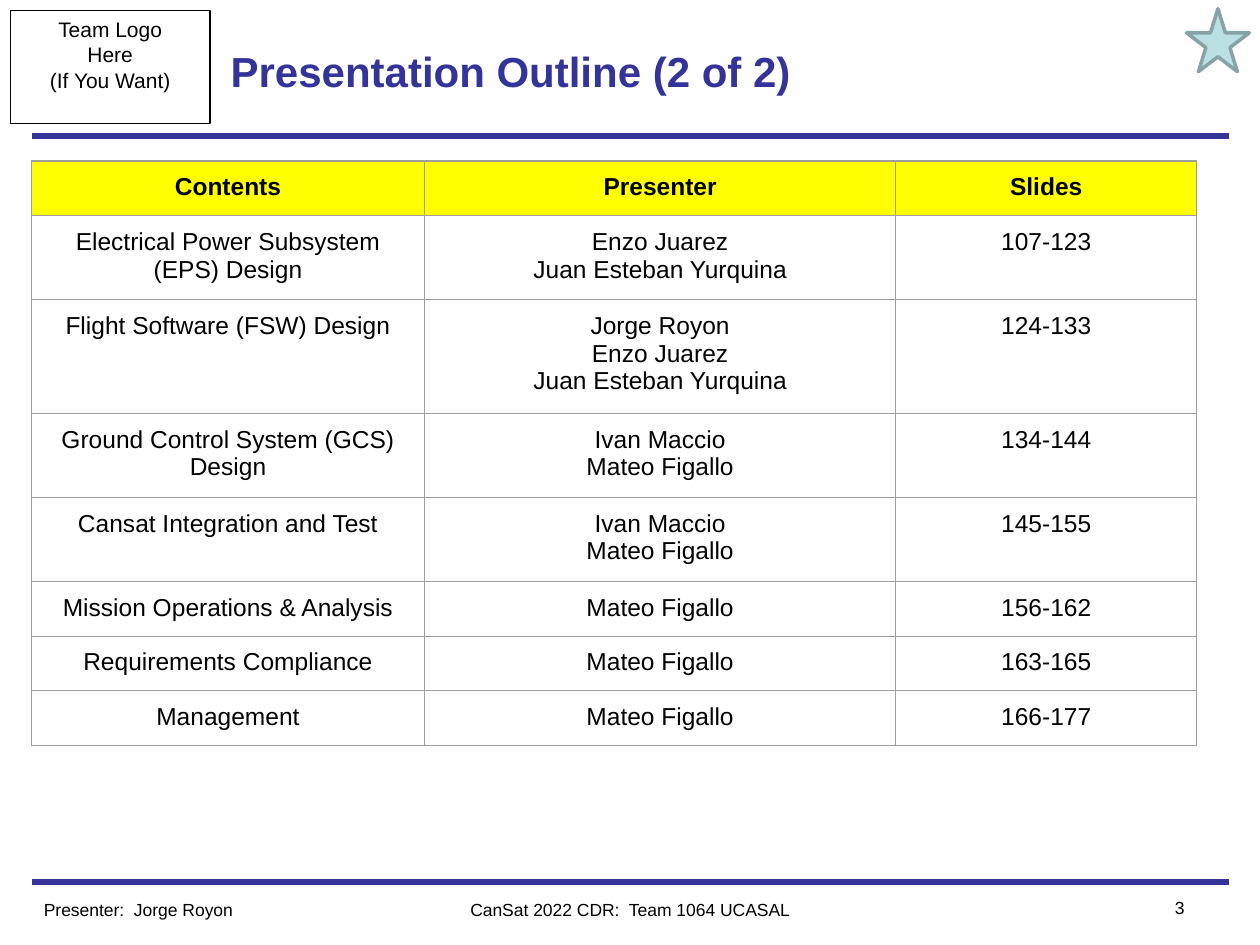
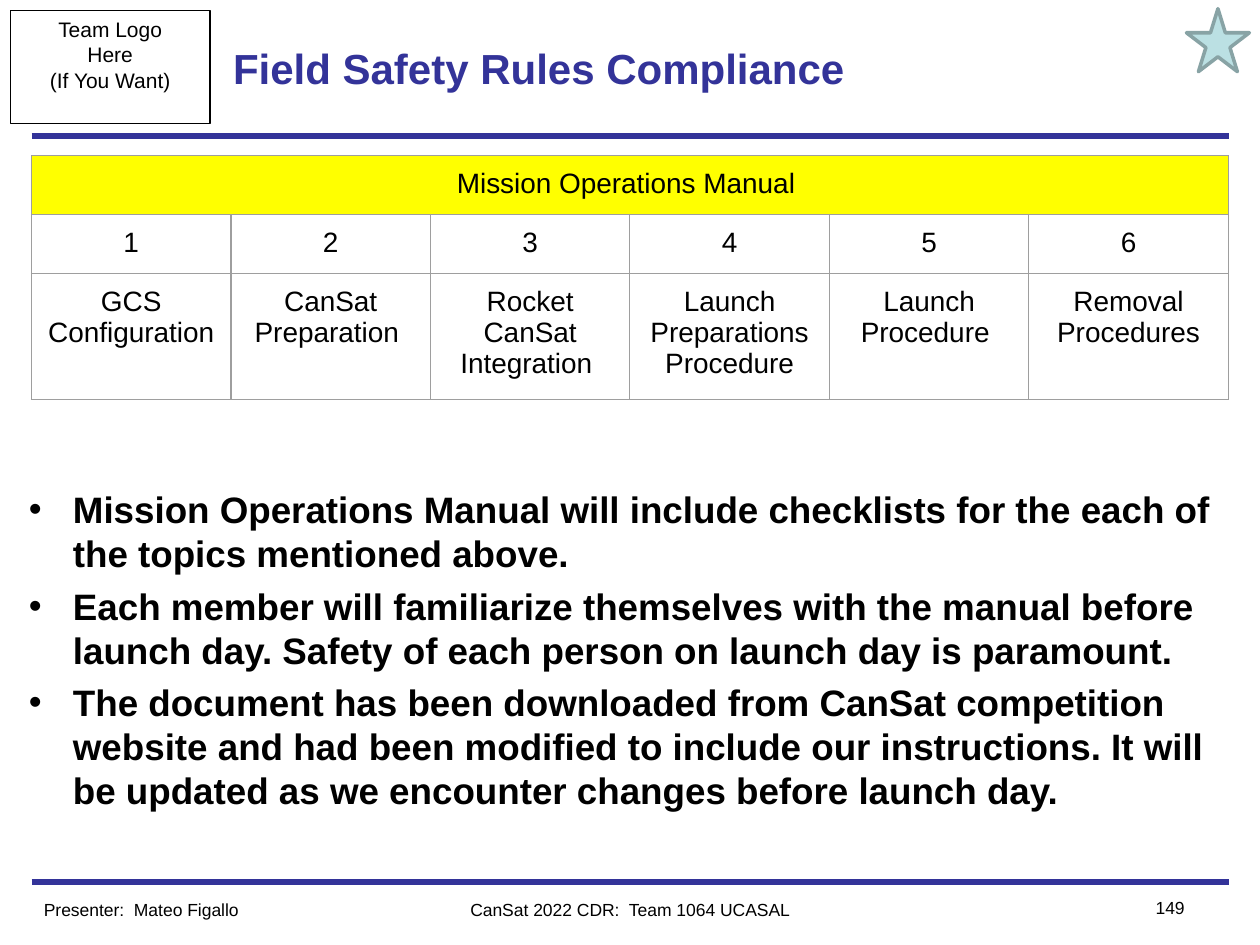
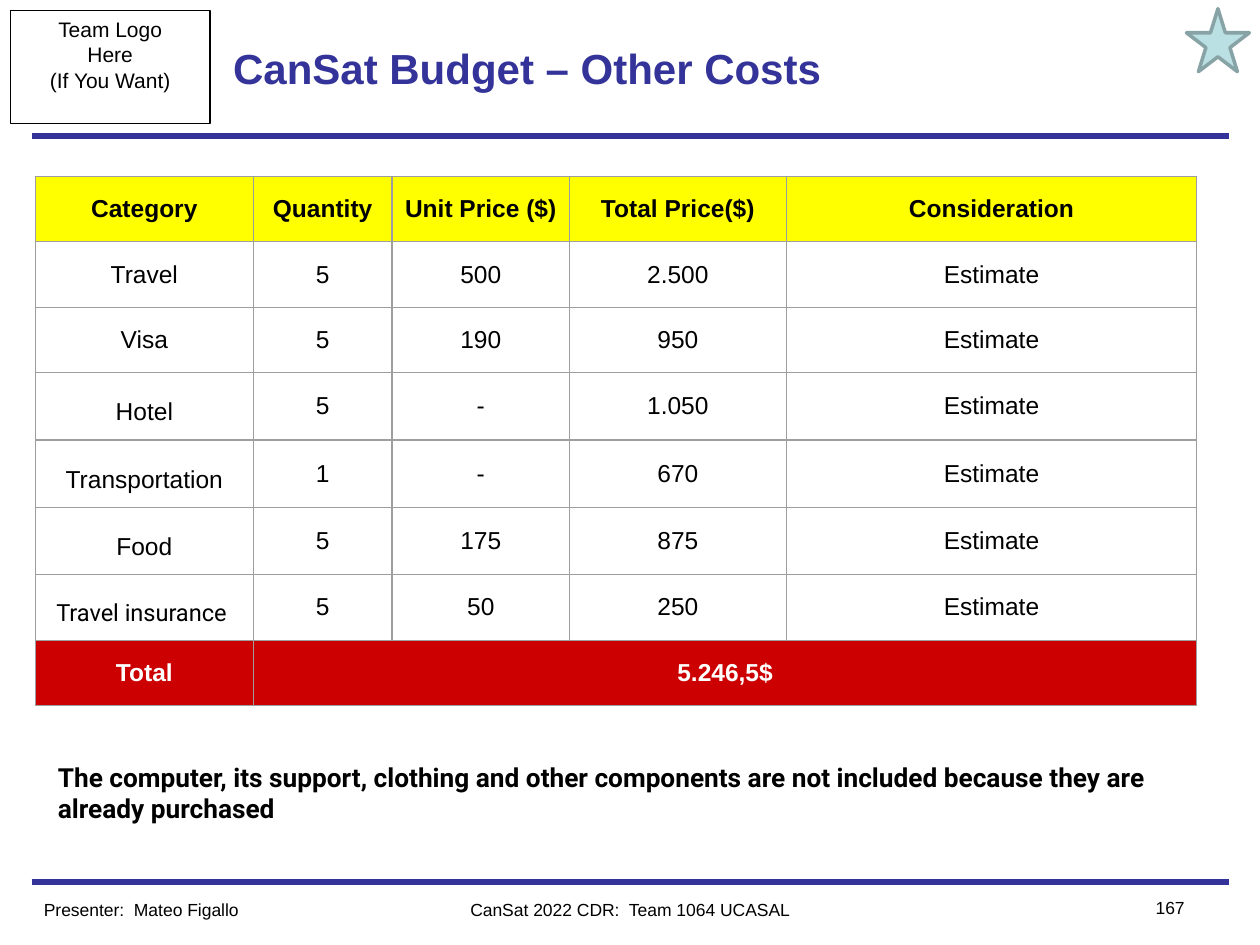
from dataclasses import dataclass

from lxml.etree import SubElement
from pptx import Presentation
from pptx.dml.color import RGBColor
from pptx.enum.shapes import MSO_CONNECTOR, MSO_SHAPE
from pptx.enum.text import MSO_ANCHOR, MSO_AUTO_SIZE, PP_ALIGN
from pptx.oxml.ns import qn
from pptx.util import Pt


@dataclass(frozen=True)
class Theme:
    # Colours
    navy: str = "333399"
    black: str = "000000"
    white: str = "FFFFFF"
    yellow: str = "FFFF00"
    red: str = "CC0000"
    grid: str = "9E9E9E"
    star: str = "BBE0E3"
    star_edge: str = "88A3A5"
    # Fonts and type sizes
    font: str = "Arial"
    note_font: str = "Roboto"
    title: float = 24
    bullet: float = 21
    manual: float = 16
    note: float = 15
    table: float = 14
    insurance: float = 13.5
    logo: float = 12
    footer: float = 10


THEME = Theme()
FOOTER = "CanSat 2022 CDR:  Team 1064 UCASAL"


def rgb(value):
    return RGBColor.from_string(value)


class Deck:
    def __init__(self, theme):
        self.t = theme
        self.prs = Presentation()
        self.prs.slide_width, self.prs.slide_height = Pt(720), Pt(540)
        self.s = None

    def style(self, tf, size, color=None, bold=False, align=PP_ALIGN.LEFT, font=None):
        for p in tf.paragraphs:
            p.alignment = align
            for r in p.runs:
                r.font.name = font or self.t.font
                r.font.size = Pt(size)
                r.font.bold = bold
                r.font.color.rgb = rgb(color or self.t.black)

    def slide(self, title, presenter, number, left=126, top=5.8):
        """Start a slide with its title, rules, logo box, star and footer."""
        t = self.t
        self.s = self.prs.slides.add_slide(self.prs.slide_layouts[5])
        for y in (504, 77.8):
            self.rule(y)
        self.logo_box()
        sp = self.s.shapes.title
        sp.left, sp.top, sp.width, sp.height = Pt(left), Pt(top), Pt(426), Pt(66)
        tf = sp.text_frame
        tf.text = title
        tf.auto_size = MSO_AUTO_SIZE.NONE
        tf.vertical_anchor = MSO_ANCHOR.MIDDLE
        self.style(tf, t.title, t.navy, bold=True)
        self.star()
        self.text(18, 510, 180, 19.4, f"Presenter:  {presenter}", t.footer)
        self.text(216, 510, 288, 19.4, FOOTER, t.footer, align=PP_ALIGN.CENTER)
        self.text(630, 509, 54, 19.4, str(number), t.footer, align=PP_ALIGN.RIGHT)

    def rule(self, y):
        sp = self.s.shapes.add_connector(MSO_CONNECTOR.STRAIGHT, Pt(18), Pt(y), Pt(702), Pt(y))
        sp.line.color.rgb = rgb(self.t.navy)
        sp.line.width = Pt(3)
        SubElement(sp.element.spPr, qn("a:effectLst"))

    def shape(self, kind, x, y, w, h, line, weight, fill=None):
        sp = self.s.shapes.add_shape(kind, Pt(x), Pt(y), Pt(w), Pt(h))
        sp.shadow.inherit = False
        if fill:
            sp.fill.solid()
            sp.fill.fore_color.rgb = rgb(fill)
        else:
            sp.fill.background()
        sp.line.color.rgb = rgb(line)
        sp.line.width = Pt(weight)
        return sp

    def logo_box(self):
        sp = self.shape(MSO_SHAPE.RECTANGLE, 6, 6, 114, 64.8, self.t.black, 0.75)
        tf = sp.text_frame
        tf.text = "Team Logo\nHere\n(If You Want)"
        tf.vertical_anchor = MSO_ANCHOR.TOP
        self.style(tf, self.t.logo, align=PP_ALIGN.CENTER)

    def star(self):
        self.shape(MSO_SHAPE.STAR_5_POINT, 678, 5, 36, 36, self.t.star_edge, 2, self.t.star)

    def text(self, x, y, w, h, text, size, inset=3.6, **look):
        tf = self.s.shapes.add_textbox(Pt(x), Pt(y), Pt(w), Pt(h)).text_frame
        tf.word_wrap = True
        tf.margin_top = tf.margin_bottom = Pt(inset)
        tf.text = text
        self.style(tf, size, **look)
        return tf

    def bullets(self, x, y, w, h, items):
        tf = self.text(x, y, w, h, "\n".join(items), self.t.bullet, inset=7.2, bold=True)
        for i, p in enumerate(tf.paragraphs):
            pPr = p._p.get_or_add_pPr()
            pPr.set("marL", str(Pt(27.4)))
            pPr.set("indent", str(Pt(-25.2)))
            color = SubElement(pPr, qn("a:buClr"))
            SubElement(color, qn("a:srgbClr"), val=self.t.black)
            SubElement(pPr, qn("a:buFont"), typeface=self.t.font)
            SubElement(pPr, qn("a:buChar"), char="•")
            if i:
                p.space_before = Pt(4.8)

    def table(self, x, y, cols, heights, rows, size, anchor=MSO_ANCHOR.TOP, bold_head=True):
        """Fill a grid with a yellow first row; short rows leave cells to merge."""
        t = self.t
        frame = self.s.shapes.add_table(len(rows), len(cols), Pt(x), Pt(y),
                                        Pt(sum(cols)), Pt(sum(heights)))
        table = frame.table
        table.first_row = table.horz_banding = False
        for col, w in zip(table.columns, cols):
            col.width = Pt(w)
        for row, h in zip(table.rows, heights):
            row.height = Pt(h)
        for i, texts in enumerate(rows):
            for j in range(len(cols)):
                cell = table.cell(i, j)
                cell.margin_top = cell.margin_bottom = Pt(7.2)
                cell.vertical_anchor = anchor
                cell.text = texts[j] if j < len(texts) else ""
                self.style(cell.text_frame, size, bold=bold_head and i == 0,
                           align=PP_ALIGN.CENTER)
                self.borders(cell)
                self.fill(cell, t.white if i else t.yellow)
            if len(texts) < len(cols):
                table.cell(i, len(texts) - 1).merge(table.cell(i, len(cols) - 1))
        return table

    def fill(self, cell, color):
        cell.fill.solid()
        cell.fill.fore_color.rgb = rgb(color)

    def borders(self, cell):
        tcPr = cell._tc.get_or_add_tcPr()
        for side in ("a:lnL", "a:lnR", "a:lnT", "a:lnB"):
            ln = SubElement(tcPr, qn(side), w=str(Pt(0.75)))
            SubElement(SubElement(ln, qn("a:solidFill")), qn("a:srgbClr"), val=self.t.grid)


def outline(deck):
    deck.slide("Presentation Outline (2 of 2)", "Jorge Royon", 3, left=124.6, top=7.2)
    rows = [
        ("Contents", "Presenter", "Slides"),
        ("Electrical Power Subsystem (EPS) Design", "Enzo Juarez\nJuan Esteban Yurquina", "107-123"),
        ("Flight Software (FSW) Design", "Jorge Royon\nEnzo Juarez\nJuan Esteban Yurquina", "124-133"),
        ("Ground Control System (GCS) Design", "Ivan Maccio\nMateo Figallo", "134-144"),
        ("Cansat Integration and Test", "Ivan Maccio\nMateo Figallo", "145-155"),
        ("Mission Operations & Analysis", "Mateo Figallo", "156-162"),
        ("Requirements Compliance", "Mateo Figallo", "163-165"),
        ("Management", "Mateo Figallo", "166-177"),
    ]
    heights = [30.2, 45.8, 61.7, 45.8, 45.8] + [30.2] * 3
    deck.table(18, 92, [224.6, 269.3, 172], heights, rows, THEME.table)


def safety_rules(deck):
    deck.slide("Field Safety Rules Compliance", "Mateo Figallo", 149)
    rows = [
        ("Mission Operations Manual ",),
        [str(n) for n in range(1, 7)],
        ("GCS Configuration", "CanSat Preparation ", "Rocket CanSat Integration ",
         "Launch Preparations Procedure", "Launch Procedure ", "Removal Procedures"),
    ]
    deck.table(18, 89, [114] * 6, [33.7, 33.7, 72], rows, THEME.manual, bold_head=False)
    deck.bullets(7.2, 271, 695, 203, [
        "Mission Operations Manual will include checklists for the each of the topics mentioned above.",
        "Each member will familiarize themselves with the manual before launch day. "
        "Safety of each person on launch day is paramount.",
        "The document has been downloaded from CanSat competition website and had been modified "
        "to include our instructions. It will be updated as we encounter changes before launch day.",
    ])


def other_costs(deck):
    t = THEME
    deck.slide("CanSat Budget – Other Costs", "Mateo Figallo", 167)
    costs = [
        ("Travel", "5", "500", "2.500"),
        ("Visa", "5", "190", "950"),
        ("Hotel", "5", "-", "1.050"),
        ("Transportation", "1", "-", "670"),
        ("Food", "5", "175", "875"),
        ("Travel insurance ", "5", "50", "250"),
    ]
    rows = [("Category", "Quantity", "Unit Price ($)", "Total Price($)", "Consideration"),
            *[(*cost, "Estimate") for cost in costs],
            ("Total", "5.246,5$")]
    table = deck.table(20.2, 100.8, [124.6, 79.2, 101.5, 123.8, 234.7], [37.4] * len(rows),
                       rows, t.table, anchor=MSO_ANCHOR.MIDDLE)
    # Looser spacing in the lower category names
    for i in range(3, 7):
        p = table.cell(i, 0).text_frame.paragraphs[0]
        p.line_spacing = 1.43
        p.space_after = Pt(11)
    deck.style(table.cell(6, 0).text_frame, t.insurance, align=PP_ALIGN.CENTER, font=t.note_font)
    # Total row
    for j in range(2):
        cell = table.cell(7, j)
        deck.fill(cell, t.red)
        deck.style(cell.text_frame, t.table, t.white, bold=True, align=PP_ALIGN.CENTER)
    deck.text(26, 427.7, 651.6, 51, "The computer, its support, clothing and other components "
              "are not included because they are already purchased",
              t.note, inset=7.2, bold=True, font=t.note_font)


def main():
    deck = Deck(THEME)
    outline(deck)
    safety_rules(deck)
    other_costs(deck)
    deck.prs.save("out.pptx")


if __name__ == "__main__":
    main()
